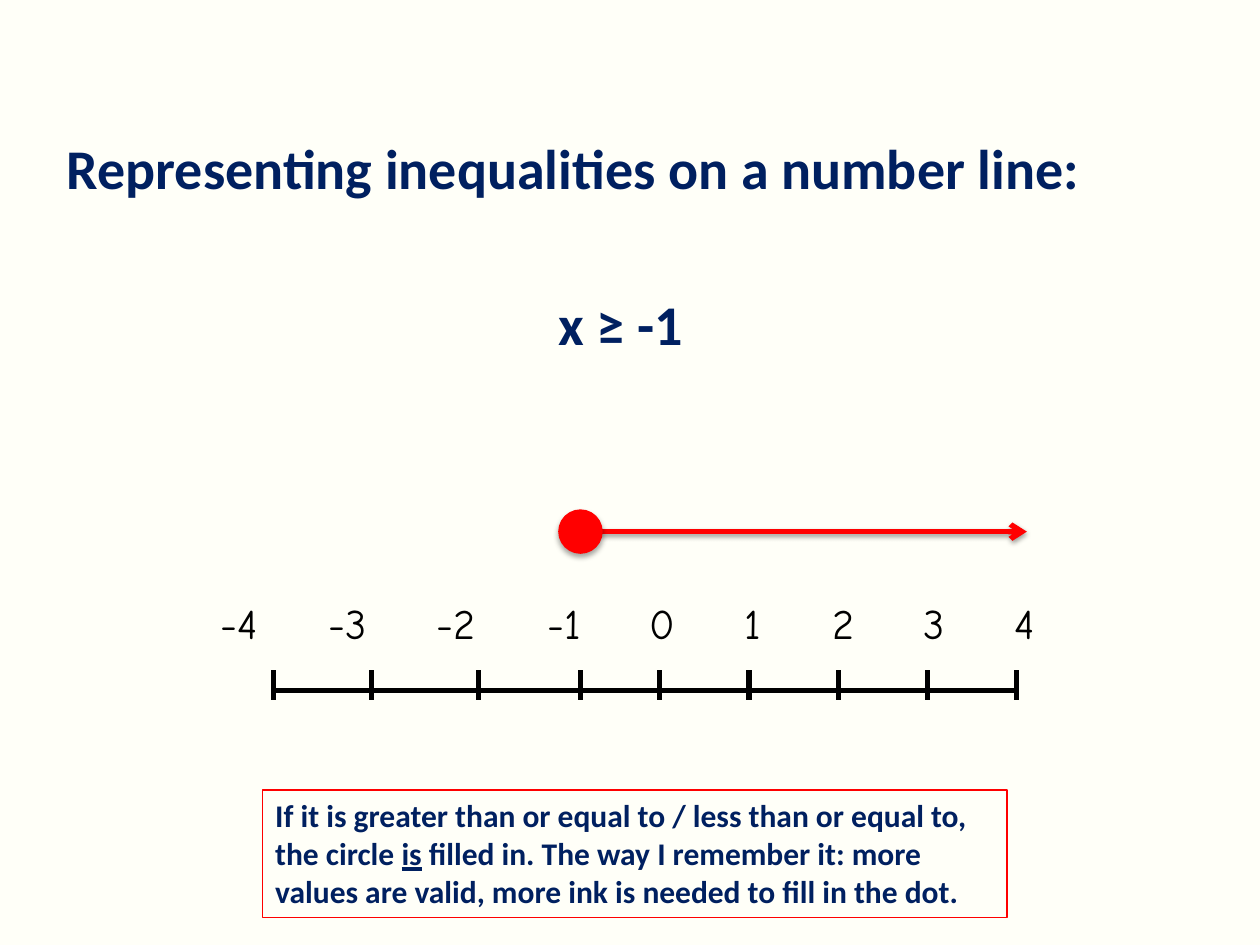
from lxml.etree import SubElement
from pptx import Presentation
from pptx.dml.color import RGBColor
from pptx.enum.shapes import MSO_CONNECTOR as Connector, MSO_SHAPE as Shape
from pptx.enum.text import PP_ALIGN as Align
from pptx.oxml.ns import qn
from pptx.util import Pt

CREAM = RGBColor(0xFF, 0xFF, 0xF8)
NAVY = RGBColor(0x00, 0x20, 0x60)
RED = RGBColor(0xFF, 0x00, 0x00)
BLACK = RGBColor(0x00, 0x00, 0x00)

LABELS = ["-4", "-3", "-2", "-1", "0", "1", "2", "3", "4"]
LABEL_CENTRES = [137 + 61.8 * i for i in range(4)] + [378.5 + 51.8 * i for i in range(5)]
TICKS = [156.2, 212.5, 273.3, 331.7] + [377 + 51 * i for i in range(5)]
AXIS_Y = 394.4
ARROW_Y = 303.8


def format_run(span, size, name, color, bold=False):
    """Give a run its font."""
    font = span.font
    font.size, font.name, font.bold = Pt(size), name, bold
    font.color.rgb = color


def add_effects(element, blur=0, distance=0, alpha=0):
    """Replace the theme effect by a downward shadow, or by none."""
    properties = element.spPr
    for old in properties.findall(qn("a:effectLst")):
        properties.remove(old)
    effects = SubElement(properties, qn("a:effectLst"))
    if blur:
        shadow = SubElement(effects, qn("a:outerShdw"), blurRad=str(Pt(blur)),
                            dist=str(Pt(distance)), dir="5400000", rotWithShape="0")
        color = SubElement(shadow, qn("a:srgbClr"), val=str(BLACK))
        SubElement(color, qn("a:alpha"), val=str(alpha * 1000))


def add_line(page, x1, y1, x2, y2, color):
    """Draw a straight 3 pt line."""
    line = page.shapes.add_connector(Connector.STRAIGHT, Pt(x1), Pt(y1), Pt(x2), Pt(y2))
    line.line.color.rgb = color
    line.line.width = Pt(3)
    add_effects(line._element)
    return line


def add_text_box(page, left, top, width, height):
    """Add a wrapping text box."""
    box = page.shapes.add_textbox(Pt(left), Pt(top), Pt(width), Pt(height))
    box.text_frame.word_wrap = True
    return box


def add_labels(page):
    """Write the numbers of the line on centred tab stops."""
    left = 93.6
    box = add_text_box(page, left, 337.7, 532.8, 36)
    para = box.text_frame.paragraphs[0]
    stops = SubElement(para._p.get_or_add_pPr(), qn("a:tabLst"))
    for centre in LABEL_CENTRES:
        SubElement(stops, qn("a:tab"), pos=str(Pt(centre - left - 7.2)), algn="ctr")
    span = para.add_run()
    span.text = "".join("\t" + label for label in LABELS)
    format_run(span, 24, "Comic Neue", BLACK)


def add_axis(page):
    """Draw the number line with its ticks."""
    add_line(page, TICKS[0], AXIS_Y, TICKS[-1], AXIS_Y, BLACK)
    for x in TICKS:
        add_line(page, x, 383, x, 400.3, BLACK)


def add_solution(page):
    """Draw the filled dot and the arrow to the right."""
    arrow = add_line(page, 342.7, ARROW_Y, 586.8, ARROW_Y, RED)
    SubElement(arrow.line._get_or_add_ln(), qn("a:tailEnd"), type="arrow")
    add_effects(arrow._element, 3.1, 1.6, 38)
    size = 22.4
    dot = page.shapes.add_shape(Shape.OVAL, Pt(TICKS[3] - size / 2), Pt(ARROW_Y - size / 2),
                                Pt(size), Pt(size))
    dot.fill.solid()
    dot.fill.fore_color.rgb = RED
    dot.line.color.rgb = RED
    dot.line.width = Pt(3)
    add_effects(dot._element, 3.1, 1.8, 35)


def add_heading(page):
    """Write the title and the inequality below it."""
    frame = add_text_box(page, 31, 72.6, 647.3, 382.3).text_frame
    frame.text = "Representing inequalities on a number line:\nx ≥ -1"
    for para in frame.paragraphs:
        format_run(para.runs[0], 32, "Calibri", NAVY, True)
    formula = frame.paragraphs[1]
    formula.alignment = Align.CENTER
    formula.space_before = Pt(51)


def add_note(page):
    """Write the framed reminder."""
    box = add_text_box(page, 150.2, 451.5, 425.3, 72.7)
    box.line.color.rgb = RED
    box.line.width = Pt(0.75)
    para = box.text_frame.paragraphs[0]
    parts = ["If it is greater than or equal to / less than or equal to, the circle ", "is",
             " filled in. The way I remember it: more values are valid, "
             "more ink is needed to fill in the dot."]
    for part in parts:
        span = para.add_run()
        span.text = part
        format_run(span, 18, "Calibri", NAVY, True)
    para.runs[1].font.underline = True


def main():
    """Build and save the slide."""
    deck = Presentation()
    deck.slide_width, deck.slide_height = Pt(720), Pt(540)
    page = deck.slides.add_slide(deck.slide_layouts[6])
    page.background.fill.solid()
    page.background.fill.fore_color.rgb = CREAM
    add_labels(page)
    add_axis(page)
    add_solution(page)
    add_heading(page)
    add_note(page)
    deck.save("out.pptx")


if __name__ == "__main__":
    main()
